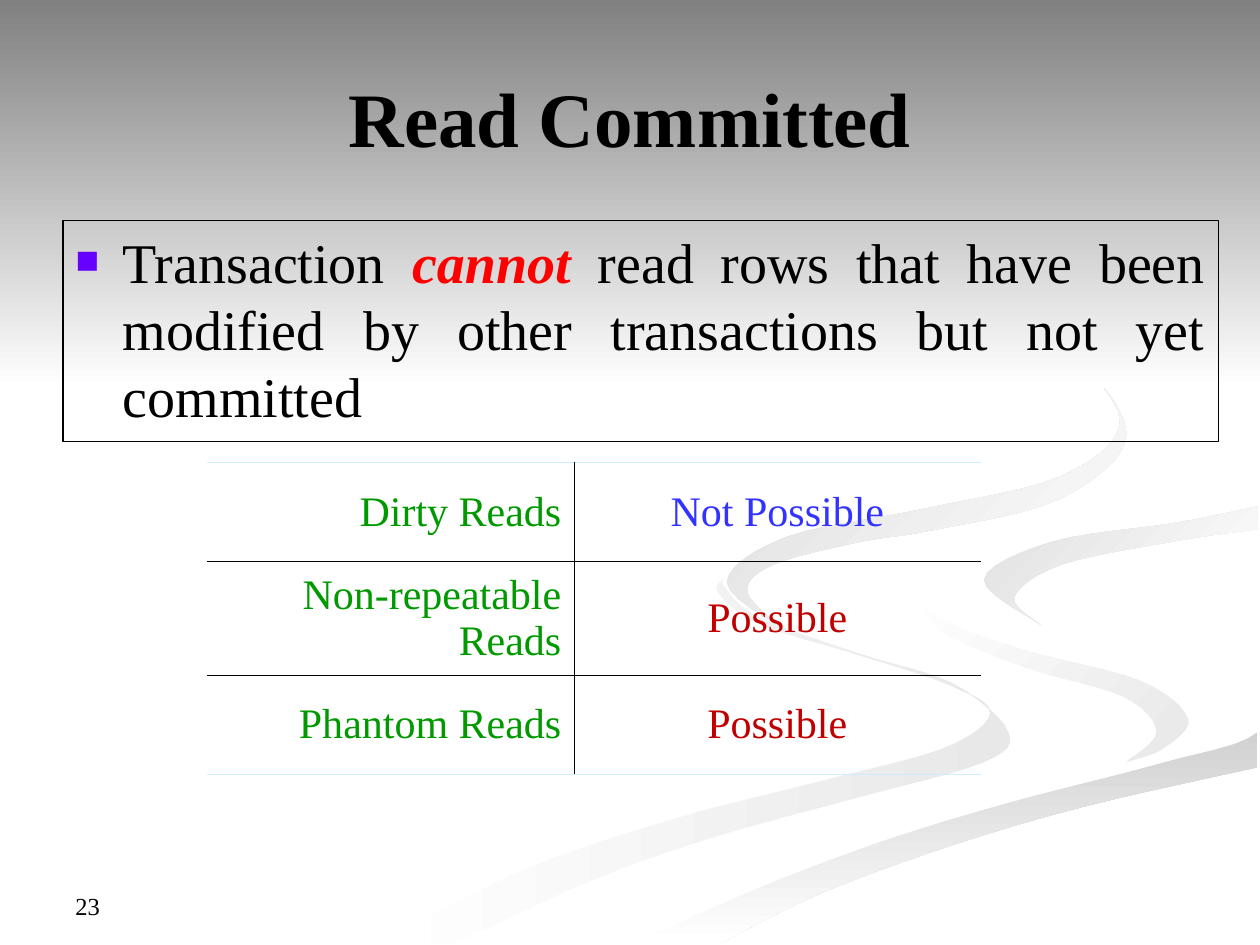
from lxml import etree
from pptx import Presentation
from pptx.dml.color import RGBColor
from pptx.enum.text import MSO_ANCHOR, MSO_AUTO_SIZE, PP_ALIGN
from pptx.oxml.ns import qn
from pptx.util import Cm, Pt

LEFT, CENTER = PP_ALIGN.LEFT, PP_ALIGN.CENTER
RIGHT, JUSTIFY = PP_ALIGN.RIGHT, PP_ALIGN.JUSTIFY
MIDDLE, TOP, BOTTOM = MSO_ANCHOR.MIDDLE, MSO_ANCHOR.TOP, MSO_ANCHOR.BOTTOM
NO_AUTOFIT = MSO_AUTO_SIZE.NONE

FONT = "Times New Roman"
BLACK, RED, PURPLE = "000000", "FF0000", "6600FF"
GREEN, BLUE, DARK_RED, PALE_BLUE = "009900", "3333FF", "C00000", "CCECFF"
WHITE, GREY, DARK_GREY = "FFFFFF", "E8E8E8", "808080"

ROWS = [
    ("Dirty Reads", "Not Possible", BLUE),
    ("Non-repeatable Reads", "Possible", DARK_RED),
    ("Phantom Reads", "Possible", DARK_RED),
]

# Ribbon edges: a few knots each, in inches, joined by a smooth curve
UNITS = 1000  # drawing units per inch
STEPS = 6     # line segments between two knots
TAIL_OUTER = [(5.75, 4.59), (5.75, 4.66), (6.02, 4.9), (6.82, 5.19), (7.57, 5.43), (8, 5.81),
              (7.8, 6.05), (6.76, 6.34), (5.64, 6.65), (4.66, 7), (3.61, 7.49)]
TAIL_INNER = [(5.75, 4.59), (5.7, 4.7), (6.02, 4.95), (6.79, 5.19), (7.52, 5.43), (7.86, 5.66),
              (7.49, 5.94), (6.52, 6.2), (5.39, 6.49), (4.17, 6.9), (3, 7.49)]
BEND_OUTER = [(7.24, 4.64), (7.45, 4.9), (8.11, 5.15), (9.05, 5.4), (9.43, 5.7),
              (9.25, 5.93), (8.94, 6.05)]
BEND_INNER = [(7.24, 4.64), (7.46, 5), (8.15, 5.3), (8.92, 5.53), (9.18, 5.81), (8.94, 6.05)]
SWEEP_TOP = [(5.03, 7.49), (5.99, 7.06), (6.96, 6.69), (7.97, 6.38), (9.2, 6.06), (9.98, 5.81)]
SWEEP_BOTTOM = [(5.71, 7.49), (6.49, 7.1), (7.52, 6.72), (8.61, 6.4), (9.98, 6.09)]
HOOK_TOP = [(9.98, 4.02), (9.33, 4.15), (8.35, 4.3), (7.81, 4.6), (8.26, 4.96)]
HOOK_BOTTOM = [(9.98, 4.2), (9.36, 4.29), (8.43, 4.48), (8.05, 4.74), (8.26, 4.96)]
CURL_OUTER = [(7.62, 2.33), (8.43, 2.75), (8.94, 3.44), (8.41, 3.96), (7.39, 4.21),
              (6.83, 4.3), (6.14, 4.48), (5.93, 4.7), (6.22, 5)]
CURL_INNER = [(7.62, 2.33), (8.46, 2.79), (8.89, 3.35), (8.42, 3.78), (7.33, 4.04),
              (6.25, 4.26), (5.77, 4.62), (6.22, 5)]
# The white band runs between its neighbours, so it reuses their edges
BAND_LEFT = ([(9.98, 3.87), (9.2, 4.01), (8.3, 4.15), (7.55, 4.32)] + BEND_OUTER
             + [(7.8, 6.34), (6.63, 6.68), (5.73, 7.03), (4.77, 7.49)])
BAND_RIGHT = HOOK_TOP[:-1] + [(8.17, 4.92), (9.04, 5.19), (9.98, 5.38)] + SWEEP_TOP[::-1]

# Back to front: two edges, gradient colours, clockwise angle
RIBBONS = [
    (TAIL_OUTER, TAIL_INNER, (WHITE, GREY), 0),
    (BEND_OUTER, BEND_INNER, (WHITE, GREY), 45),
    (SWEEP_TOP, SWEEP_BOTTOM, ("D1D1D1", WHITE), 90),
    (BAND_LEFT, BAND_RIGHT, (WHITE, WHITE), 0),
    (HOOK_TOP, HOOK_BOTTOM, ("E0E0E0", WHITE), 45),
    (CURL_OUTER, CURL_INNER, ("D8D8D8", WHITE), 45),
]
HEADER_TOP, HEADER_BOTTOM = [(0, 0), (10, 0)], [(0, 3.08), (10, 3.08)]


def rgb(color):
    return RGBColor.from_string(color)


def place(s, left, top, width, height):
    s.left, s.top, s.width, s.height = Cm(left), Cm(top), Cm(width), Cm(height)


def add_run(p, text, size, color=BLACK, bold=False, italic=False):
    r = p.add_run()
    r.text = text
    r.font.name, r.font.size = FONT, Pt(size)
    r.font.bold, r.font.italic = bold, italic
    r.font.color.rgb = rgb(color)


def start_text(tf, align, anchor):
    tf.word_wrap = True
    tf.auto_size = NO_AUTOFIT
    tf.vertical_anchor = anchor
    p = tf.paragraphs[0]
    p.alignment = align
    p.space_before = Pt(0)
    return p


def spline(a, b, c, d, t):
    """Catmull-Rom value between b and c, with neighbours a and d."""
    return b + t / 2 * (c - a + t * (2 * a - 5 * b + 4 * c - d + t * (3 * (b - c) + d - a)))


def smooth(knots):
    """Points of a curve through all knots, in drawing units."""
    padded = [knots[0], *knots, knots[-1]]
    curve = []
    for quad in zip(padded, padded[1:], padded[2:], padded[3:]):
        xs, ys = zip(*quad)
        for step in range(STEPS):
            t = step / STEPS
            curve.append((spline(*xs, t) * UNITS, spline(*ys, t) * UNITS))
    end_x, end_y = knots[-1]
    return curve + [(end_x * UNITS, end_y * UNITS)]


def add_ribbon(group, edge, other_edge, colors, angle):
    start, *rest = smooth(edge) + smooth(other_edge)[::-1]
    builder = group.shapes.build_freeform(*start, scale=Cm(2.54) / UNITS)
    builder.add_line_segments(rest, close=True)
    s = builder.convert_to_shape()
    s.shadow.inherit = False
    s.line.fill.background()
    s.fill.gradient()
    s.fill.gradient_angle = (360 - angle) % 360
    for stop, color in zip(s.fill.gradient_stops, colors):
        stop.color.rgb = rgb(color)


def add_backdrop(slide):
    group = slide.shapes.add_group_shape()
    for ribbon in RIBBONS:
        add_ribbon(group, *ribbon)
    add_ribbon(group, HEADER_TOP, HEADER_BOTTOM, (DARK_GREY, WHITE), 90)
    slide.shapes._spTree.insert(2, group._element)  # behind the placeholders


def set_bullet(p, char, color, percent):
    pPr = p._p.get_or_add_pPr()
    pPr.set("marL", str(Cm(0.95)))
    pPr.set("indent", str(-Cm(0.95)))
    bu_color = etree.SubElement(pPr, qn("a:buClr"))
    etree.SubElement(bu_color, qn("a:srgbClr"), val=color)
    etree.SubElement(pPr, qn("a:buSzPct"), val=str(percent * 1000))
    etree.SubElement(pPr, qn("a:buFont"), typeface=FONT)
    etree.SubElement(pPr, qn("a:buChar"), char=char)


def set_border(cell, side, color):
    ln = etree.SubElement(cell._tc.get_or_add_tcPr(), qn("a:ln" + side), w=str(Pt(0.45)))
    if color is None:
        etree.SubElement(ln, qn("a:noFill"))
    else:
        fill = etree.SubElement(ln, qn("a:solidFill"))
        etree.SubElement(fill, qn("a:srgbClr"), val=color)


def fill_cell(cell, text, color, align, borders):
    for side, border in zip("LRTB", borders):
        set_border(cell, side, border)
    cell.fill.background()
    cell.vertical_anchor = MIDDLE
    p = cell.text_frame.paragraphs[0]
    p.alignment = align
    add_run(p, text, 24, color)


def add_reads_table(slide):
    frame = slide.shapes.add_table(len(ROWS), 2, Cm(4.17), Cm(9.32), Cm(15.6), Cm(6.29))
    table = frame.table
    table.first_row = table.horz_banding = False
    for column, width in zip(table.columns, (7.4, 8.2)):
        column.width = Cm(width)
    for row, height in zip(table.rows, (2, 2.29, 2)):
        row.height = Cm(height)
    for i, (problem, verdict, color) in enumerate(ROWS):
        top = PALE_BLUE if i == 0 else BLACK
        bottom = PALE_BLUE if i == len(ROWS) - 1 else BLACK
        fill_cell(table.cell(i, 0), problem, GREEN, RIGHT, (None, BLACK, top, bottom))
        fill_cell(table.cell(i, 1), verdict, color, CENTER, (BLACK, None, top, bottom))


def main():
    prs = Presentation()
    prs.slide_width, prs.slide_height = Cm(25.4), Cm(19.05)
    slide = prs.slides.add_slide(prs.slide_layouts[1])
    add_backdrop(slide)

    # Title
    title, body = slide.placeholders
    place(title, 1.27, 0.76, 22.86, 3.18)
    add_run(start_text(title.text_frame, CENTER, MIDDLE), "Read Committed", 44, bold=True)

    # Framed statement
    place(body, 1.27, 4.45, 23.29, 4.45)
    body.line.color.rgb = rgb(BLACK)
    body.line.width = Pt(0.75)
    p = start_text(body.text_frame, JUSTIFY, TOP)
    set_bullet(p, "■", PURPLE, 70)
    add_run(p, "Transaction ", 32)
    add_run(p, "cannot ", 32, RED, bold=True, italic=True)
    add_run(p, "read rows that have been modified by other transactions but not yet committed", 32)

    # Slide number
    number = slide.shapes.add_textbox(Cm(1.27), Cm(17.37), Cm(5.92), Cm(1.32))
    add_run(start_text(number.text_frame, LEFT, BOTTOM), "23", 14)

    add_reads_table(slide)
    prs.save("out.pptx")


if __name__ == "__main__":
    main()
